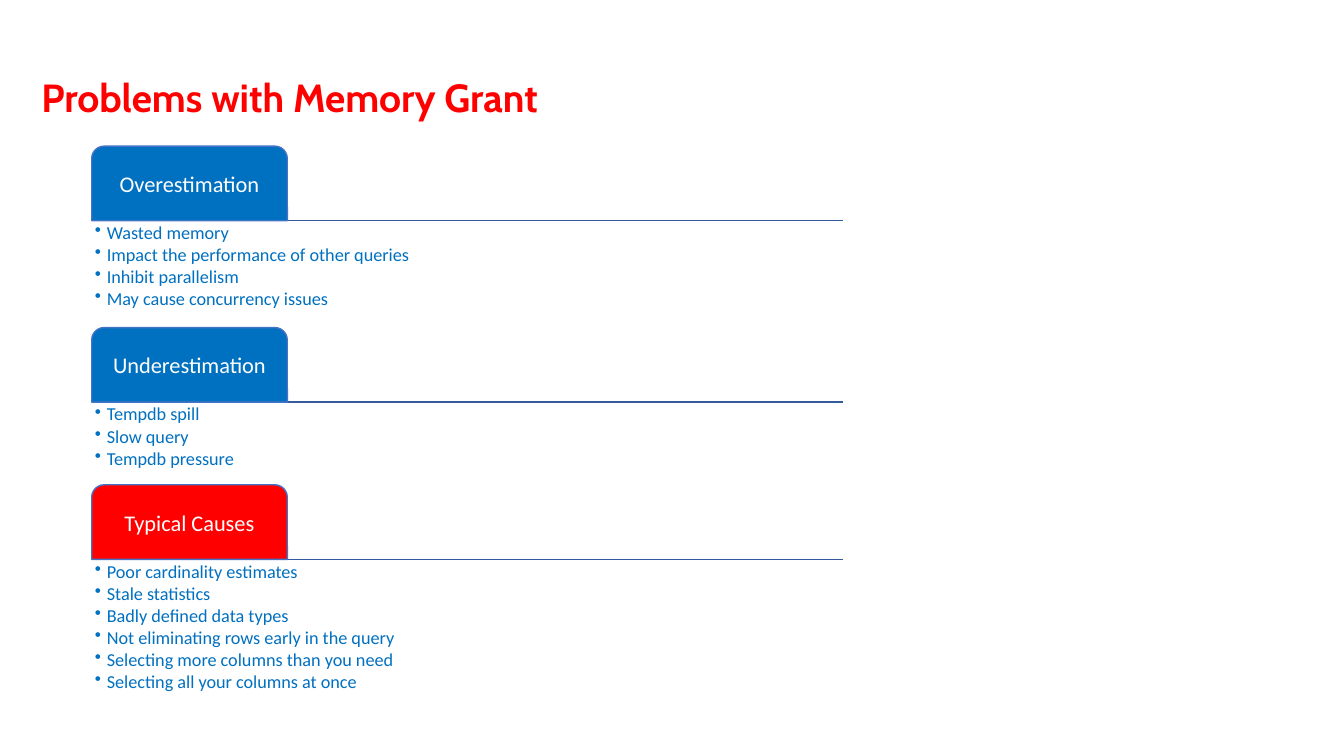
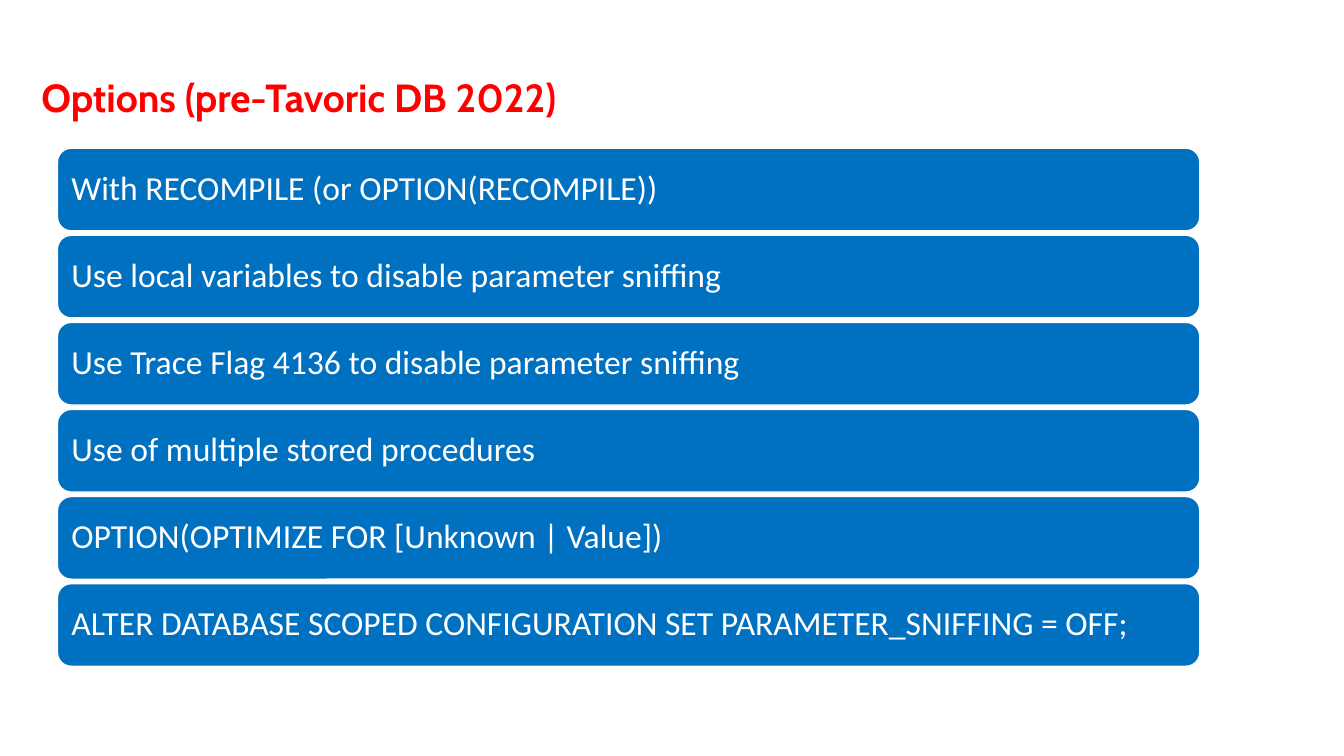
from lxml import etree
from pptx import Presentation
from pptx.dml.color import RGBColor
from pptx.enum.shapes import MSO_CONNECTOR, MSO_SHAPE
from pptx.enum.text import MSO_ANCHOR, MSO_AUTO_SIZE, PP_ALIGN
from pptx.oxml.ns import qn
from pptx.util import Inches, Pt

RED = RGBColor(0xFF, 0x00, 0x00)
BLUE = RGBColor(0x00, 0x70, 0xC0)
OUTLINE_BLUE = RGBColor(0x44, 0x72, 0xC4)
RULE_BLUE = RGBColor(0x36, 0x5B, 0x9D)
WHITE = RGBColor(0xFF, 0xFF, 0xFF)

LEFT, CENTER = PP_ALIGN.LEFT, PP_ALIGN.CENTER
MIDDLE = MSO_ANCHOR.MIDDLE
NO_AUTOFIT = MSO_AUTO_SIZE.NONE
TAB_SHAPE = MSO_SHAPE.ROUND_2_SAME_RECTANGLE
BAR_SHAPE = MSO_SHAPE.ROUNDED_RECTANGLE
STRAIGHT = MSO_CONNECTOR.STRAIGHT

TITLE_FONT = "Cabin"
BODY_FONT = "Calibri"

presentation = Presentation()
presentation.slide_width = Inches(13.33)
presentation.slide_height = Inches(7.5)
title_only = presentation.slide_layouts[5]


def add_titled_slide(text):
    slide = presentation.slides.add_slide(title_only)
    title = slide.shapes.title
    title.left, title.top = Inches(0.31), Inches(0.68)
    title.width, title.height = Inches(8.76), Inches(0.57)
    frame = title.text_frame
    frame.text = text
    frame.auto_size = NO_AUTOFIT
    frame.vertical_anchor = MIDDLE
    paragraph = frame.paragraphs[0]
    paragraph.alignment = LEFT
    font = paragraph.runs[0].font
    font.name, font.size, font.bold = TITLE_FONT, Pt(28), True
    font.color.rgb = RED
    return slide


def fill_text(shape, lines, size, color, margin, alignment=LEFT):
    frame = shape.text_frame
    frame.word_wrap = True
    frame.margin_left = frame.margin_right = Inches(margin)
    frame.margin_top = frame.margin_bottom = Inches(margin)
    frame.text = "\n".join(lines)
    for paragraph in frame.paragraphs:
        paragraph.alignment = alignment
        paragraph.line_spacing = 0.9
        font = paragraph.runs[0].font
        font.name, font.size = BODY_FONT, Pt(size)
        font.color.rgb = color


problems = [
    ("Overestimation", BLUE, 1.45, [
        "Wasted memory",
        "Impact the performance of other queries",
        "Inhibit parallelism",
        "May cause concurrency issues",
    ]),
    ("Underestimation", BLUE, 3.25, [
        "Tempdb spill",
        "Slow query",
        "Tempdb pressure",
    ]),
    ("Typical Causes", RED, 4.81, [
        "Poor cardinality estimates",
        "Stale statistics",
        "Badly defined data types",
        "Not eliminating rows early in the query",
        "Selecting more columns than you need",
        "Selecting all your columns at once",
    ]),
]
section_left, section_width = 0.91, 7.45
tab_width, tab_height = 1.94, 0.74
bullet_height = 0.25

slide = add_titled_slide("Problems with Memory Grant")
for heading, color, top, bullets in problems:
    rule_top = top + tab_height
    rule = slide.shapes.add_connector(
        STRAIGHT, Inches(section_left), Inches(rule_top),
        Inches(section_left + section_width), Inches(rule_top))
    rule.line.color.rgb = RULE_BLUE
    rule.line.width = Pt(1)
    etree.SubElement(rule._element.spPr, qn("a:effectLst"))

    tab = slide.shapes.add_shape(
        TAB_SHAPE, Inches(section_left), Inches(top),
        Inches(tab_width), Inches(tab_height))
    tab.shadow.inherit = False
    tab.fill.solid()
    tab.fill.fore_color.rgb = color
    tab.line.color.rgb = OUTLINE_BLUE
    tab.line.width = Pt(1)
    tab.text_frame.vertical_anchor = MIDDLE
    fill_text(tab, [heading], 16, WHITE, 0.03, CENTER)

    bullet_box = slide.shapes.add_textbox(
        Inches(section_left), Inches(rule_top),
        Inches(section_width), Inches(bullet_height * len(bullets)))
    fill_text(bullet_box, bullets, 13, BLUE, 0.03)
    for paragraph in bullet_box.text_frame.paragraphs:
        properties = paragraph._p.get_or_add_pPr()
        properties.set("marL", str(Inches(0.12)))
        properties.set("indent", str(-Inches(0.12)))
        etree.SubElement(properties, qn("a:buChar"), char="•")
        paragraph.space_after = Pt(1.7)

options = [
    "With RECOMPILE (or OPTION(RECOMPILE))",
    "Use local variables to disable parameter sniffing",
    "Use Trace Flag 4136 to disable parameter sniffing",
    "Use of multiple stored procedures",
    "OPTION(OPTIMIZE FOR [Unknown | Value])",
    "ALTER DATABASE SCOPED CONFIGURATION SET PARAMETER_SNIFFING = OFF;",
]
first_top, last_top = 1.47, 5.79
bar_pitch = (last_top - first_top) / (len(options) - 1)

slide = add_titled_slide("Options (pre-Tavoric DB 2022)")
for index, option in enumerate(options):
    bar = slide.shapes.add_shape(
        BAR_SHAPE, Inches(0.57), Inches(first_top + index * bar_pitch),
        Inches(11.33), Inches(0.82))
    bar.shadow.inherit = False
    bar.fill.solid()
    bar.fill.fore_color.rgb = BLUE
    bar.line.color.rgb = WHITE
    bar.line.width = Pt(1)
    bar.text_frame.vertical_anchor = MIDDLE
    fill_text(bar, [option], 24, WHITE, 0.1)

presentation.save("out.pptx")
